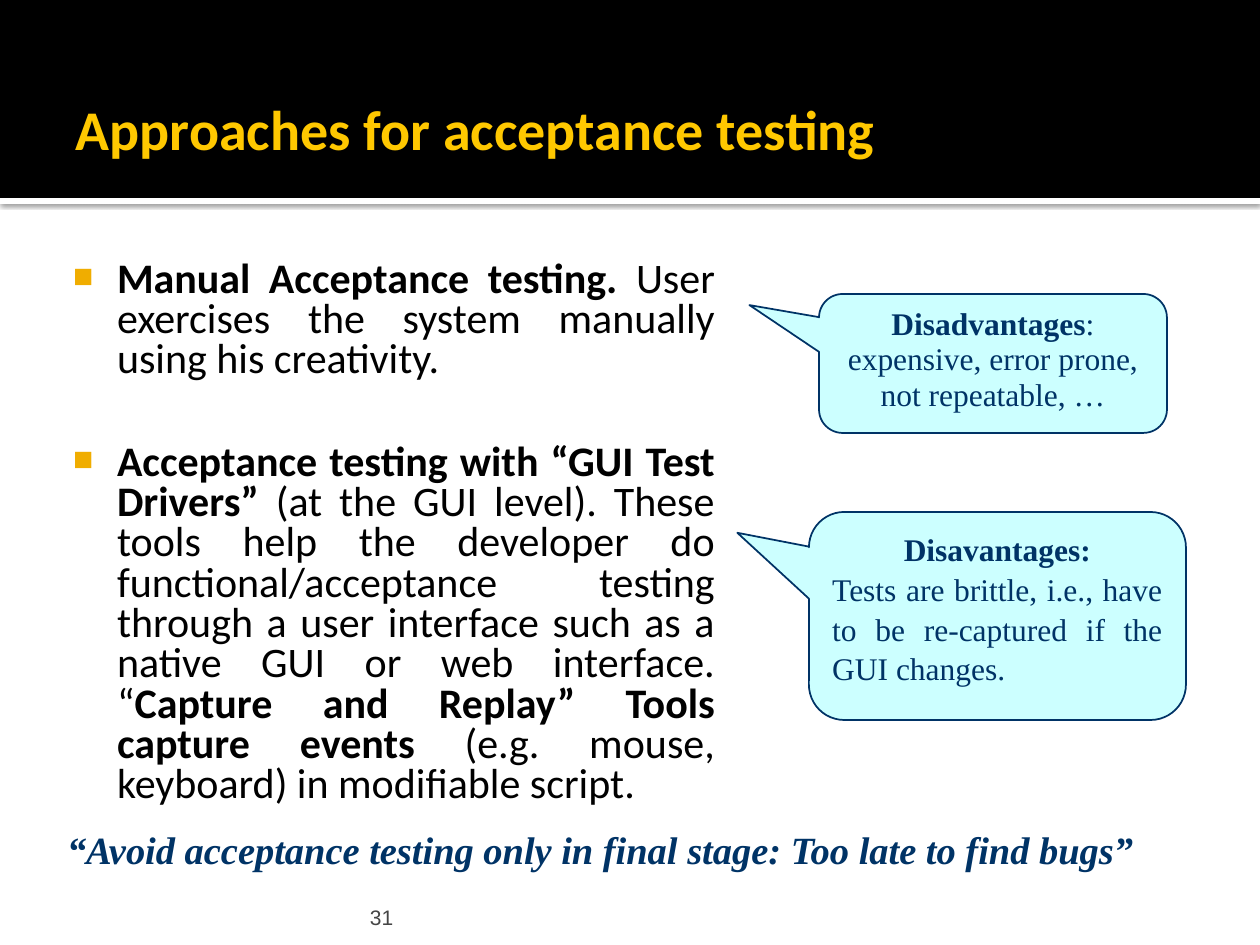
from lxml.etree import SubElement
from pptx import Presentation
from pptx.dml.color import RGBColor
from pptx.enum.shapes import MSO_SHAPE
from pptx.enum.text import MSO_ANCHOR, MSO_AUTO_SIZE, PP_ALIGN
from pptx.oxml.ns import qn
from pptx.util import Emu, Pt

SCALE = 914400 / 126  # EMU in one px
NAVY, CYAN, GOLD, AMBER = "003366", "CCFFFF", "FFC800", "F0AD00"
BLACK, WHITE, GREY = "000000", "FFFFFF", "454545"
SERIF = {"font": "Times New Roman", "color": NAVY}


def px(length):
    return Emu(round(length * SCALE))


def color_of(hex_text):
    return RGBColor.from_string(hex_text)


def place(shape, box):
    shape.left, shape.top, shape.width, shape.height = map(px, box)


def add_xml(parent, tag, **attributes):
    return SubElement(parent, qn(tag), {k: str(v) for k, v in attributes.items()})


def set_frame(shape, anchor=MSO_ANCHOR.TOP, wrap=True, insets=(13, 6, 13, 6)):
    frame = shape.text_frame
    frame.auto_size = MSO_AUTO_SIZE.NONE
    frame.word_wrap = wrap
    frame.vertical_anchor = anchor
    frame.margin_left, frame.margin_top, frame.margin_right, frame.margin_bottom = map(px, insets)
    return frame


def add_span(para, text, size=18, font="Calibri", color=BLACK, bold=False, italic=False):
    span = para.add_run()
    span.text = text
    span.font.size = Pt(size)
    span.font.name = font
    span.font.bold = bold
    span.font.italic = italic
    span.font.color.rgb = color_of(color)


def set_para(para, spans, align=PP_ALIGN.LEFT, spacing=1.0, before=0, **style):
    """Write (text, bold) spans into a paragraph in one style."""
    para.alignment = align
    para.line_spacing = spacing
    para.space_before = Pt(before)
    for text, bold in spans:
        add_span(para, text, bold=bold, **style)


def add_block(page, kind, box, fill, line=None):
    shape = page.shapes.add_shape(kind, *map(px, box))
    shape.shadow.inherit = False
    shape.fill.solid()
    shape.fill.fore_color.rgb = color_of(fill)
    if line:
        shape.line.color.rgb = color_of(line)
        shape.line.width = Pt(1)
    else:
        shape.line.fill.background()
    return shape


def add_header(page, box, text):
    left, top, width, height = box
    title = page.shapes.title
    # White strip with a soft shadow, then the black band, both behind the title
    strip = add_block(page, MSO_SHAPE.RECTANGLE, (left, top + height, width, 6), WHITE)
    effects = strip.element.spPr.find(qn("a:effectLst"))
    shadow = add_xml(effects, "a:outerShdw", blurRad=Pt(2.5), dist=Pt(0.8),
                     dir=5400000, algn="tl", rotWithShape=0)
    add_xml(add_xml(shadow, "a:srgbClr", val=BLACK), "a:alpha", val=60000)
    band = add_block(page, MSO_SHAPE.RECTANGLE, box, BLACK)
    for shape in (strip, band):
        title.element.addprevious(shape.element)
    # Title
    place(title, (left + 63, top + 63, width - 126, 141))
    frame = set_frame(title, MSO_ANCHOR.MIDDLE, insets=(13, 6, 6, 6))
    set_para(frame.paragraphs[0], [(text, True)], spacing=0.85, size=32, color=GOLD)


def add_bullet(para):
    props = para._p.get_or_add_pPr()
    props.set("marL", str(px(60)))
    props.set("indent", str(-px(44)))
    add_xml(add_xml(props, "a:buClr"), "a:srgbClr", val=AMBER)
    add_xml(props, "a:buSzPct", val=80000)
    add_xml(props, "a:buFont", typeface="Arial")
    add_xml(props, "a:buChar", char="■")


def add_approaches(page, box, items):
    body = page.placeholders[1]
    place(body, box)
    frame = set_frame(body)
    for index, spans in enumerate(items):
        para = frame.add_paragraph() if index else frame.paragraphs[0]
        set_para(para, spans, PP_ALIGN.JUSTIFY, 0.8, 35.5 if index else 6, size=24)
        add_bullet(para)


def add_callout(page, box, tip, paras, spacing, before=0):
    """Draw a speech bubble; tip is relative to its centre, in widths and heights."""
    bubble = add_block(page, MSO_SHAPE.ROUNDED_RECTANGULAR_CALLOUT, box, CYAN, NAVY)
    bubble.adjustments[0], bubble.adjustments[1] = tip
    bubble.adjustments[2] = 0.17
    frame = set_frame(bubble)
    for index, (align, spans) in enumerate(paras):
        para = frame.add_paragraph() if index else frame.paragraphs[0]
        set_para(para, spans, align, spacing, before, **SERIF)


def add_note(page, box, text, bold=False, align=PP_ALIGN.LEFT, frame_format=None, **style):
    note = page.shapes.add_textbox(*map(px, box))
    frame = set_frame(note, **(frame_format or {}))
    set_para(frame.paragraphs[0], [(text, bold)], align, **style)


def main():
    deck = Presentation()
    deck.slide_width, deck.slide_height = px(1260), px(945)
    page = deck.slides.add_slide(deck.slide_layouts[1])

    add_header(page, (0, 0, 1260, 198), "Approaches for acceptance testing")
    add_approaches(page, (44, 255, 684, 532), [
        [("Manual Acceptance testing.", True),
         (" User exercises the system manually using his creativity.", False)],
        [("Acceptance testing with “GUI Test Drivers”", True),
         (" (at the GUI level). These tools help the developer do functional/acceptance "
          "testing through a user interface such as a native GUI or web interface. “", False),
         ("Capture and Replay” Tools capture events", True),
         (" (e.g. mouse, keyboard) in modifiable script.", False)],
    ])

    # Drawbacks of each approach
    add_callout(page, (819, 294, 348, 139), (-0.7, -0.42), [
        (PP_ALIGN.CENTER, [("Disadvantages", True),
                           (": expensive, error prone, not repeatable, …", False)]),
    ], spacing=0.94, before=4.5)
    add_callout(page, (809, 512, 377, 208), (-0.69, -0.4), [
        (PP_ALIGN.CENTER, [("Disavantages:", True)]),
        (PP_ALIGN.JUSTIFY, [("Tests are brittle, i.e., have to be re-captured "
                             "if the GUI changes.", False)]),
    ], spacing=1.05)

    # Closing advice and page number
    add_note(page, (54, 820, 1100, 59),
             "“Avoid acceptance testing only in final stage: Too late to find bugs”",
             bold=True, italic=True, size=22, frame_format={"wrap": False}, **SERIF)
    add_note(page, (364, 892, 759, 38), "31", size=12, font="Arial", color=GREY,
             frame_format={"anchor": MSO_ANCHOR.BOTTOM, "insets": (6, 6, 6, 0)})

    deck.save("out.pptx")


if __name__ == "__main__":
    main()
